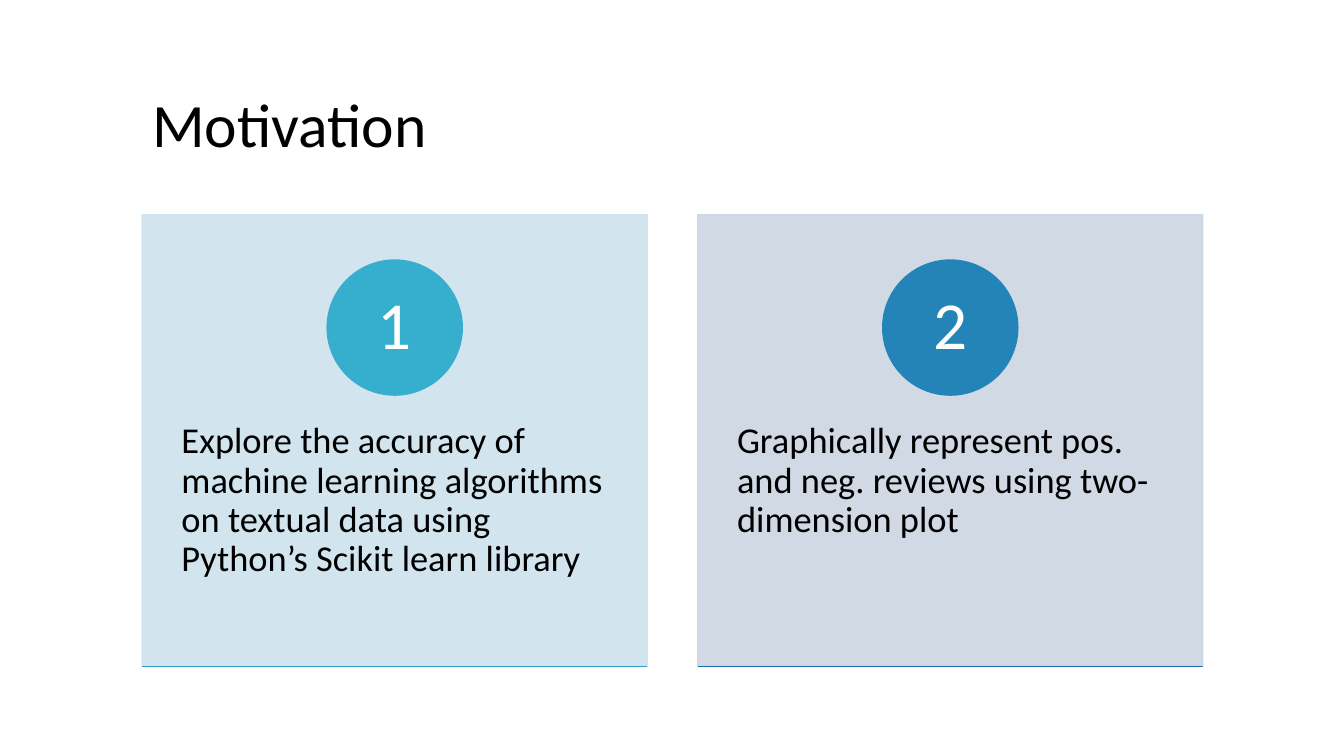
from lxml import etree
from pptx import Presentation
from pptx.dml.color import RGBColor
from pptx.enum.shapes import MSO_CONNECTOR, MSO_SHAPE
from pptx.enum.text import MSO_ANCHOR, MSO_AUTO_SIZE, PP_ALIGN
from pptx.oxml.ns import qn
from pptx.util import Inches, Pt

COLORS = {
    "text": "000000",
    "number": "FFFFFF",
    "teal_card": "CEE3ED",
    "teal_circle": "36AFCE",
    "teal_rule": "2B9AC4",
    "blue_card": "CCD5E2",
    "blue_circle": "2484B7",
    "blue_rule": "1D6FA9",
}
REASONS = [
    ("teal", "Explore the accuracy of machine learning algorithms on textual data "
             "using Python’s Scikit learn library"),
    ("blue", "Graphically represent pos. and neg. reviews using two-dimension plot"),
]
LEFT, TOP, CARD_W, CARD_H, PITCH = 1.41, 2.13, 5.01, 4.48, 5.51
CIRCLE = 1.34


def rgb(name):
    return RGBColor.from_string(COLORS[name])


class SlideBuilder:
    font = "Calibri"

    def __init__(self, prs):
        self.slide = prs.slides.add_slide(prs.slide_layouts[5])
        self.shapes = self.slide.shapes

    def set_text(self, sp, text, size, color="text", align=PP_ALIGN.LEFT,
                 anchor=MSO_ANCHOR.MIDDLE, insets=(0.1, 0.05)):
        """Set and format one paragraph; insets are horizontal, vertical."""
        tf = sp.text_frame
        tf.text = text
        tf.word_wrap = True
        tf.auto_size = MSO_AUTO_SIZE.NONE
        tf.vertical_anchor = anchor
        tf.margin_left = tf.margin_right = Inches(insets[0])
        tf.margin_top = tf.margin_bottom = Inches(insets[1])
        p = tf.paragraphs[0]
        p.alignment = align
        p.line_spacing = 0.9
        font = p.runs[0].font
        font.name, font.size = self.font, Pt(size)
        font.color.rgb = rgb(color)

    def title(self, text, x, y, w, h):
        sp = self.shapes.title
        sp.left, sp.top, sp.width, sp.height = map(Inches, (x, y, w, h))
        self.set_text(sp, text, 44)

    def shape(self, kind, x, y, w, h, color, opacity=100):
        sp = self.shapes.add_shape(kind, *map(Inches, (x, y, w, h)))
        sp.shadow.inherit = False
        sp.fill.solid()
        sp.fill.fore_color.rgb = rgb(color)
        sp.line.color.rgb = rgb(color)
        sp.line.width = Pt(1)
        if opacity < 100:
            for clr in sp._element.spPr.iter(qn("a:srgbClr")):
                etree.SubElement(clr, qn("a:alpha"), val=str(opacity * 1000))
        return sp

    def text(self, text, x, y, w, h, size, **style):
        sp = self.shapes.add_textbox(*map(Inches, (x, y, w, h)))
        self.set_text(sp, text, size, **style)

    def rule(self, x, y, w, color):
        line = self.shapes.add_connector(
            MSO_CONNECTOR.STRAIGHT, *map(Inches, (x, y, x + w, y)))
        line.line.color.rgb = rgb(color)
        line.line.width = Pt(1)
        etree.SubElement(line._element.spPr, qn("a:effectLst"))

    def card(self, x, number, theme, text):
        self.shape(MSO_SHAPE.RECTANGLE, x, TOP, CARD_W, CARD_H,
                   f"{theme}_card", opacity=90)
        self.text(text, x, 3.83, CARD_W, 2.69, 26,
                  anchor=MSO_ANCHOR.TOP, insets=(0.39, 0.36))
        circle = self.shape(MSO_SHAPE.OVAL, x + (CARD_W - CIRCLE) / 2, TOP + 0.45,
                            CIRCLE, CIRCLE, f"{theme}_circle")
        self.set_text(circle, str(number), 48, "number", PP_ALIGN.CENTER,
                      insets=(0.1, 0.01))
        self.rule(x, TOP + CARD_H, CARD_W, f"{theme}_rule")


def main():
    prs = Presentation()
    prs.slide_width, prs.slide_height = Inches(13.33), Inches(7.5)
    s = SlideBuilder(prs)
    s.title("Motivation", LEFT, 0.67, 11.15, 1.2)
    for i, (theme, text) in enumerate(REASONS):
        s.card(LEFT + i * PITCH, i + 1, theme, text)
    prs.save("out.pptx")


if __name__ == "__main__":
    main()
